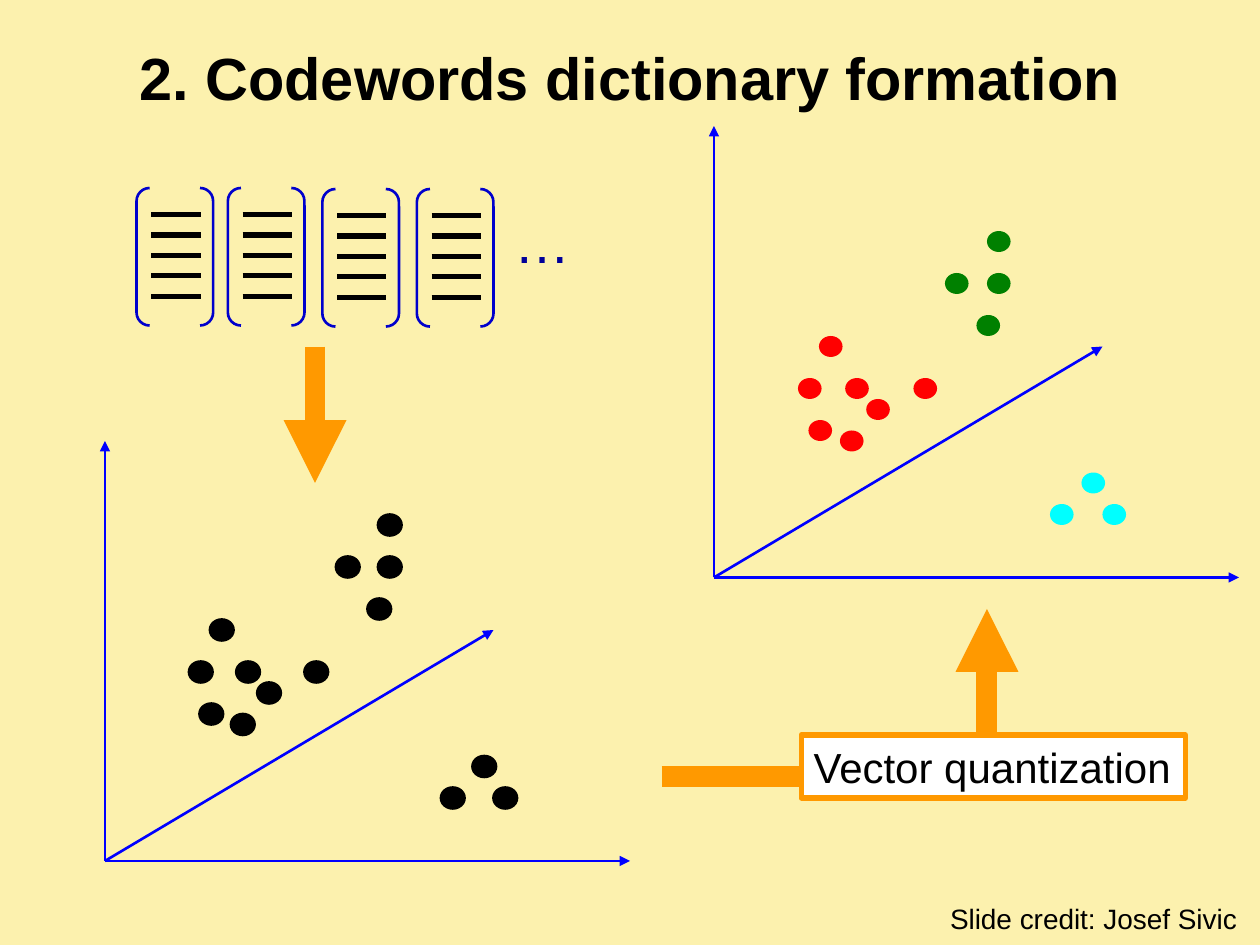
from lxml import etree
from pptx import Presentation
from pptx.dml.color import RGBColor
from pptx.enum.shapes import MSO_CONNECTOR, MSO_SHAPE
from pptx.enum.text import MSO_ANCHOR, PP_ALIGN
from pptx.oxml.ns import qn
from pptx.util import Inches, Pt

STRAIGHT = MSO_CONNECTOR.STRAIGHT
BRACKETS, OVAL, RECTANGLE = MSO_SHAPE.DOUBLE_BRACKET, MSO_SHAPE.OVAL, MSO_SHAPE.RECTANGLE
COLUMNS, ROWS = 120, 90  # one grid cell is a twelfth of an inch
BLACK, BLUE, ORANGE = "000000", "0000FF", "FF9900"

# Dot positions in grid cells, measured from a plot's origin
CLUSTERS = {
    "FF0000": [(12.5, -19), (14.5, -17), (8, -19), (12, -14), (9, -15), (19, -19), (10, -23)],
    "008000": [(26, -33), (25, -25), (22, -29), (26, -29)],
    "00FFFF": [(37, -7), (35, -10), (32, -7)],
}


def cells(*counts):
    return [Inches(count / 12) for count in counts]


def color(value):
    return RGBColor.from_string(value)


def add_line(shapes, start, end, line_color, weight, arrow=False):
    connector = shapes.add_connector(STRAIGHT, *cells(*start, *end))
    connector.line.color.rgb = color(line_color)
    connector.line.width = Pt(weight)
    properties = connector._element.spPr
    if arrow:
        etree.SubElement(properties.find(qn("a:ln")), qn("a:tailEnd"), type="triangle")
    etree.SubElement(properties, qn("a:effectLst"))


def add_shape(shapes, kind, box, fill=None, line=None, weight=1.5):
    shape = shapes.add_shape(kind, *cells(*box))
    shape.shadow.inherit = False
    if fill:
        shape.fill.solid()
        shape.fill.fore_color.rgb = color(fill)
    else:
        shape.fill.background()
    if line:
        shape.line.color.rgb = color(line)
        shape.line.width = Pt(weight)
    else:
        shape.line.fill.background()
    return shape


def write(shape, text, size, text_color=BLACK, bold=False, align=PP_ALIGN.LEFT,
          anchor=MSO_ANCHOR.TOP, wrap=False):
    frame = shape.text_frame
    for name, value in {"word_wrap": wrap, "vertical_anchor": anchor}.items():
        setattr(frame, name, value)
    paragraph = frame.paragraphs[0]
    paragraph.text = text
    paragraph.alignment = align
    for name, value in {"name": "Arial", "size": Pt(size), "bold": bold}.items():
        setattr(paragraph.font, name, value)
    paragraph.font.color.rgb = color(text_color)


def add_text(shapes, box, text, size, **formats):
    write(shapes.add_textbox(*cells(*box)), text, size, **formats)


def add_descriptor(slide, left, top):
    """Draw one feature vector: a bracket pair around five bars."""
    shapes = slide.shapes.add_group_shape().shapes
    brackets = add_shape(shapes, BRACKETS, (left, top, 7.3, 13.1), line="0000CC")
    brackets.adjustments[0] = 0.171
    for bar in range(5):
        y = top + 2.55 + bar * 1.94
        add_line(shapes, (left + 1.4, y), (left + 6.1, y), BLACK, 3)


def add_descriptor_row(slide):
    for left, top in ((13, 17.9), (21.7, 17.9), (30.7, 18), (39.7, 18)):
        add_descriptor(slide, left, top)
    add_text(slide.shapes, (47.8, 19.2, 7.7, 7.7), "…", 32, text_color="000099")


def add_plot(slide, x, y, height, dot_color=None):
    """Draw axes and dots; dot_color overrides the cluster colours and adds an outline."""
    for dx, dy in ((0, -height), (50, 0), (37, -22)):
        add_line(slide.shapes, (x, y), (x + dx, y + dy), BLUE, 1.5, arrow=True)
    for cluster_color, dots in CLUSTERS.items():
        for dx, dy in dots:
            add_shape(slide.shapes, OVAL, (x + dx, y + dy, 2.25, 2),
                      dot_color or cluster_color, dot_color)


def add_quantization(slide, box):
    left, top, width, height = box
    middle = top + 4
    add_line(slide.shapes, (left - 13.3, middle), (left + 13.7, middle), ORANGE, 12)
    add_line(slide.shapes, (left + 17.7, middle), (left + 17.7, top - 12), ORANGE, 12, arrow=True)
    label = add_shape(slide.shapes, RECTANGLE, box, "FFFFFF", ORANGE, 3)
    write(label, "Vector quantization", 24)


def main():
    presentation = Presentation()
    presentation.slide_width, presentation.slide_height = cells(COLUMNS, ROWS)
    slide = presentation.slides.add_slide(presentation.slide_layouts[6])
    slide.background.fill.solid()
    slide.background.fill.fore_color.rgb = color("FCF1AE")

    add_text(slide.shapes, (6, 3.6, COLUMNS - 12, 7.4), "2. Codewords dictionary formation", 34,
             bold=True, align=PP_ALIGN.CENTER, anchor=MSO_ANCHOR.MIDDLE, wrap=True)
    add_descriptor_row(slide)
    add_line(slide.shapes, (30, 33), (30, 46), ORANGE, 12, arrow=True)
    add_plot(slide, 10, 82, 40, dot_color=BLACK)
    add_plot(slide, 68, 55, 43)
    add_quantization(slide, (76.3, 70, 36.6, 6))
    add_text(slide.shapes, (89.3, 85.3, 29.8, 4.4), "Slide credit: Josef Sivic", 16)
    presentation.save("out.pptx")


if __name__ == "__main__":
    main()
